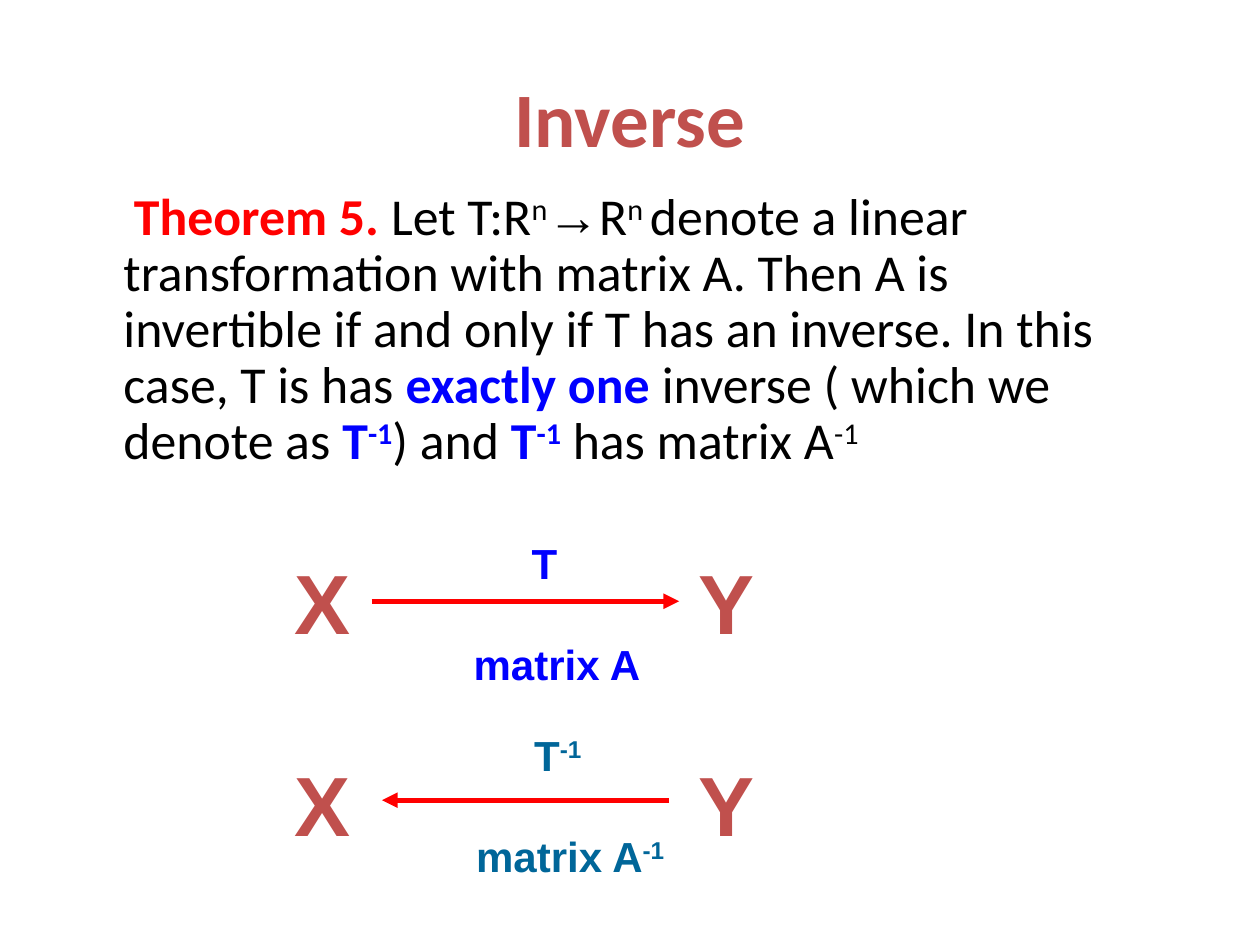
from dataclasses import dataclass

from lxml.etree import SubElement
from pptx import Presentation
from pptx.dml.color import RGBColor
from pptx.enum.shapes import MSO_CONNECTOR
from pptx.enum.text import MSO_ANCHOR, PP_ALIGN
from pptx.oxml.ns import qn
from pptx.util import Cm, Pt


@dataclass(frozen=True)
class Theme:
    heading: str = "C0504D"
    text: str = "000000"
    red: str = "FF0000"
    blue: str = "0000FF"
    teal: str = "006699"
    text_font: str = "Calibri"
    diagram_font: str = "Arial"
    title_size: float = 44
    body_size: float = 29.6
    letter_size: float = 48
    label_size: float = 24
    arrow_width: float = 3


THEME = Theme()


def add_box(page, left, top, width, height, wrap=False):
    box = page.shapes.add_textbox(Cm(left), Cm(top), Cm(width), Cm(height))
    box.text_frame.word_wrap = wrap
    return box.text_frame


def add_span(para, text, font, size, color, bold=False, raised=False):
    span = para.add_run()
    span.text = text
    span.font.name = font
    span.font.size = Pt(size)
    span.font.bold = bold
    span.font.color.rgb = RGBColor.from_string(color)
    if raised:
        span.font._element.set("baseline", "30000")


def add_title(page, text):
    frame = add_box(page, 1.27, 0.76, 22.86, 3.18, wrap=True)
    frame.vertical_anchor = MSO_ANCHOR.MIDDLE
    para = frame.paragraphs[0]
    para.alignment = PP_ALIGN.CENTER
    add_span(para, text, THEME.text_font, THEME.title_size, THEME.heading, bold=True)


def add_theorem(page):
    para = add_box(page, 1.27, 3.73, 22.02, 8, wrap=True).paragraphs[0]
    para.line_spacing = 0.9
    para.space_before = Pt(8)
    properties = para._p.get_or_add_pPr()
    properties.set("marL", str(Cm(0.97)))
    properties.set("indent", str(Cm(0.21)))

    def write(text, color=THEME.text, raised=False, font=THEME.text_font):
        bold = color != THEME.text
        add_span(para, text, font, THEME.body_size, color, bold, raised)

    def write_inverse(name, color=THEME.text):
        write(name, color)
        write("-1", color, raised=True)

    write("Theorem 5.", THEME.red)
    write(" Let T:R")
    write("n", raised=True)
    write("→", font=THEME.diagram_font)
    write("R")
    write("n ", raised=True)
    write("denote a linear transformation with matrix A. Then A is invertible "
          "if and only if T has an inverse. In this case, T is has ")
    write("exactly one", THEME.blue)
    write(" inverse ( which we denote as ")
    write_inverse("T", THEME.blue)
    write(") and ")
    write_inverse("T", THEME.blue)
    write_inverse(" has matrix A")


def add_label(page, left, top, text, size, color, exponent=""):
    para = add_box(page, left, top, 4.3, size * 0.042 + 0.25).paragraphs[0]
    add_span(para, text, THEME.diagram_font, size, color, bold=True)
    if exponent:
        add_span(para, exponent, THEME.diagram_font, size, color, True, raised=True)


def add_arrow(page, start, end, y):
    arrow = page.shapes.add_connector(
        MSO_CONNECTOR.STRAIGHT, Cm(start), Cm(y), Cm(end), Cm(y))
    arrow.line.color.rgb = RGBColor.from_string(THEME.red)
    arrow.line.width = Pt(THEME.arrow_width)
    SubElement(arrow.line._get_or_add_ln(), qn("a:tailEnd"), type="triangle")
    SubElement(arrow._element.spPr, qn("a:effectLst"))


def add_mapping(page, letter_top, label_left, label_top, color, exponent, arrow):
    for left, letter in ((5.69, "X"), (13.84, "Y")):
        add_label(page, left, letter_top, letter, THEME.letter_size, THEME.heading)
    add_arrow(page, *arrow)
    for shift, drop, text in ((1.17, 0, "T"), (0, 2.03, "matrix A")):
        add_label(page, label_left + shift, label_top + drop, text,
                  THEME.label_size, color, exponent)


def main():
    deck = Presentation()
    deck.slide_width, deck.slide_height = Cm(25.4), Cm(19.05)
    page = deck.slides.add_slide(deck.slide_layouts[6])
    add_title(page, "Inverse")
    add_theorem(page)
    add_mapping(page, 10.97, 9.3, 10.72, THEME.blue, "", (7.49, 13.69, 12.12))
    add_mapping(page, 15.04, 9.35, 14.58, THEME.teal, "-1", (13.49, 7.7, 16.13))
    deck.save("out.pptx")


if __name__ == "__main__":
    main()
